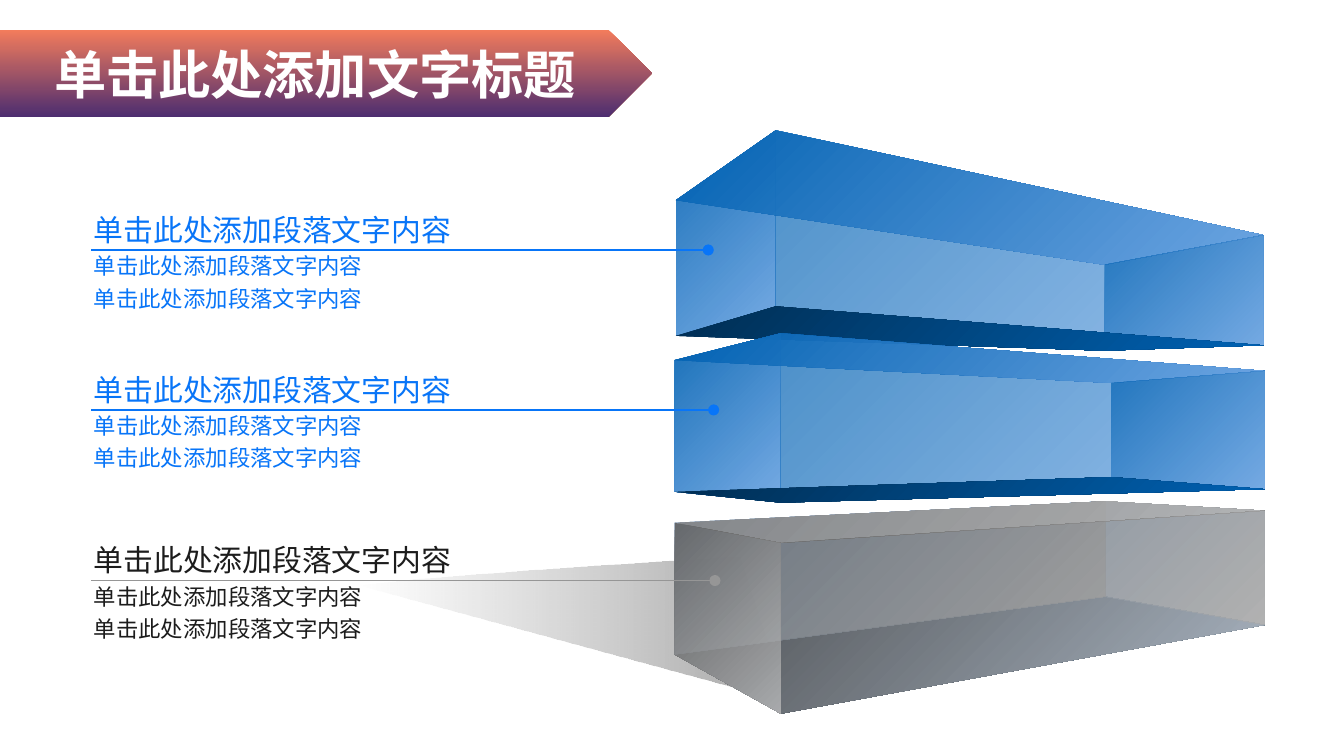
from lxml import etree
from pptx import Presentation
from pptx import util as u
from pptx.dml.color import RGBColor
from pptx.enum import shapes, text
from pptx.oxml.ns import qn

FONT = "Noto Sans CJK SC"
LINE_TEXT = "单击此处添加段落文字内容"
WHITE = RGBColor(0xFF, 0xFF, 0xFF)
INK = RGBColor(0x1C, 0x1C, 0x1C)
BRIGHT_BLUE = RGBColor(0x08, 0x75, 0xF8)
MID_GRAY = RGBColor(0x96, 0x96, 0x96)
CORAL = RGBColor(0xF3, 0x7C, 0x5C)
PURPLE = RGBColor(0x4D, 0x2D, 0x70)
BLUE = RGBColor(0x00, 0x61, 0xB2)
SKY = RGBColor(0x68, 0xA2, 0xE1)
NAVY = RGBColor(0x00, 0x2D, 0x52)
PALE_BLUE = RGBColor(0x9D, 0xC2, 0xEC)
SLATE = RGBColor(0x2B, 0x35, 0x41)
DARK_GRAY = RGBColor(0x5F, 0x5F, 0x5F)
GRAY = RGBColor(0x80, 0x80, 0x80)
SILVER = RGBColor(0xB2, 0xB2, 0xB2)
SHADE_START = RGBColor(0x66, 0x66, 0x66)
SHADE_END = RGBColor(0x4A, 0x4A, 0x4A)

# Corners of a slab seen from above: left, near, right, far; top and bottom.
FACES = {
    "top": ("Lt", "Nt", "Rt", "Ft"),
    "bottom": ("Lb", "Nb", "Rb", "Fb"),
    "left": ("Lt", "Lb", "Nb", "Nt"),
    "long": ("Nt", "Nb", "Rb", "Rt"),
    "right": ("Ft", "Fb", "Rb", "Rt"),
    "inner": ("Lt", "Lb", "Fb", "Ft"),
}
# Face, first colour, last colour, opacity in percent; from back to front.
BLUE_FACES = (
    ("left", BLUE, SKY, 90),
    ("long", BLUE, SKY, 70),
    ("top", BLUE, SKY, 90),
    ("right", BLUE, SKY, 70),
    ("bottom", NAVY, BLUE, 100),
)
GRAY_FACES = (
    ("bottom", SLATE, PALE_BLUE, 100),
    ("right", PALE_BLUE, SILVER, 70),
    ("inner", PALE_BLUE, SILVER, 90),
    ("top", GRAY, SILVER, 90),
    ("long", DARK_GRAY, SILVER, 70),
    ("left", DARK_GRAY, SILVER, 90),
)
# Box (left, top, width), shares of the width at the near and far corners,
# depths of the corners L, N, R, F below the top, faces.
SLABS = (
    ((5.02, 3.73, 4.39), (0.18, 0.73), (0.16, 0.31, 0.07, 0), (1.14, 1.58, 0.92, 0.71), GRAY_FACES),
    ((5.03, 0.97, 4.37), (0.17, 0.73), (0.52, 0, 0.78, 1.0), (1.53, 1.31, 1.6, 1.64), BLUE_FACES),
    ((5.02, 2.48, 4.39), (0.18, 0.74), (0.2, 0, 0.28, 0.37), (1.18, 1.26, 1.16, 1.07), BLUE_FACES),
)
# Box (left, top, width, height), x of the dot, line colour, text colour.
CALLOUTS = (
    ((0.6, 1.47, 3.33, 1.14), 5.27, BRIGHT_BLUE, BRIGHT_BLUE),
    ((0.6, 2.66, 3.33, 0.9), 5.31, BRIGHT_BLUE, BRIGHT_BLUE),
    ((0.6, 3.93, 3.33, 0.9), 5.32, MID_GRAY, INK),
)


def paint(shape, colours, angle, opacities=(100, 100)):
    """Two-colour gradient; the angle runs clockwise."""
    shape.shadow.inherit = False
    shape.line.fill.background()
    shape.fill.gradient()
    shape.fill.gradient_angle = (360 - angle) % 360
    for stop, position, colour in zip(shape.fill.gradient_stops, (0, 1), colours):
        stop.position = position
        stop.color.rgb = colour
    stops = shape._element.spPr.iter(qn("a:srgbClr"))
    for colour_node, opacity in zip(stops, opacities):
        if opacity < 100:
            etree.SubElement(colour_node, qn("a:alpha")).set("val", str(opacity * 1000))


def add_polygon(page, points):
    corners = [(u.Inches(x), u.Inches(y)) for x, y in points]
    builder = page.shapes.build_freeform(*corners[0])
    builder.add_line_segments(corners[1:], close=True)
    return builder.convert_to_shape()


def add_run(para, words, size, colour, bold=None):
    run = para.add_run()
    run.text = words
    run.font.size = u.Pt(size)
    run.font.name = FONT
    run.font.bold = bold
    run.font.color.rgb = colour
    etree.SubElement(run.font._element, qn("a:ea")).set("typeface", FONT)


def add_title(page, box):
    banner = page.shapes.add_shape(shapes.MSO_SHAPE.PENTAGON, *map(u.Inches, box))
    paint(banner, (CORAL, PURPLE), 90)
    frame = banner.text_frame
    frame.margin_left = frame.margin_right = u.Inches(0.07)
    frame.margin_top = frame.margin_bottom = u.Inches(0.04)
    frame.vertical_anchor = text.MSO_ANCHOR.MIDDLE
    para = frame.paragraphs[0]
    para.alignment = text.PP_ALIGN.CENTER
    add_run(para, "单击此处添加文字标题", 28, WHITE, bold=True)


def add_cast_shadow(page, box):
    left, top, width, height = box
    outline = ((1, 1), (0, 0.2), (0.12, 0.16), (0.43, 0.09), (0.89, 0))
    shade = add_polygon(page, [(left + x * width, top + y * height) for x, y in outline])
    paint(shade, (SHADE_START, SHADE_END), 0, (0, 50))


def add_slab(page, box, shares, tops, bottoms, faces):
    left, top, width = box
    near, far = shares
    corners = {}
    for name, share, upper, lower in zip("LNRF", (0, near, 1, far), tops, bottoms):
        x = left + share * width
        corners[name + "t"] = (x, top + upper)
        corners[name + "b"] = (x, top + lower)
    for face, first, last, opacity in faces:
        side = add_polygon(page, [corners[name] for name in FACES[face]])
        paint(side, (first, last), 45, (opacity, opacity))


def add_callout(page, box, dot_x, line_colour, text_colour):
    left, top, _, _ = box
    line_y = u.Inches(top + 0.39)
    leader = page.shapes.add_connector(
        shapes.MSO_CONNECTOR.STRAIGHT, u.Inches(left + 0.08), line_y, u.Inches(dot_x), line_y)
    leader.line.color.rgb = line_colour
    leader.line.width = u.Pt(1)
    etree.SubElement(leader.line._get_or_add_ln(), qn("a:tailEnd")).set("type", "oval")
    etree.SubElement(leader._element.spPr, qn("a:effectLst"))

    frame = page.shapes.add_textbox(*map(u.Inches, box)).text_frame
    frame.word_wrap = True
    frame.auto_size = text.MSO_AUTO_SIZE.SHAPE_TO_FIT_TEXT
    for index, size in enumerate((16, 12, 12)):
        para = frame.add_paragraph() if index else frame.paragraphs[0]
        para.line_spacing = 1.2
        add_run(para, LINE_TEXT, size, text_colour)


def main():
    deck = Presentation()
    deck.slide_width = u.Inches(10)
    deck.slide_height = deck.slide_width * 9 // 16
    page = deck.slides.add_slide(deck.slide_layouts[6])
    add_title(page, (0, 0.22, 4.85, 0.65))
    add_cast_shadow(page, (2.67, 4.14, 3.18, 1.08))
    for slab in SLABS:
        add_slab(page, *slab)
    for callout in CALLOUTS:
        add_callout(page, *callout)
    deck.save("out.pptx")


if __name__ == "__main__":
    main()
